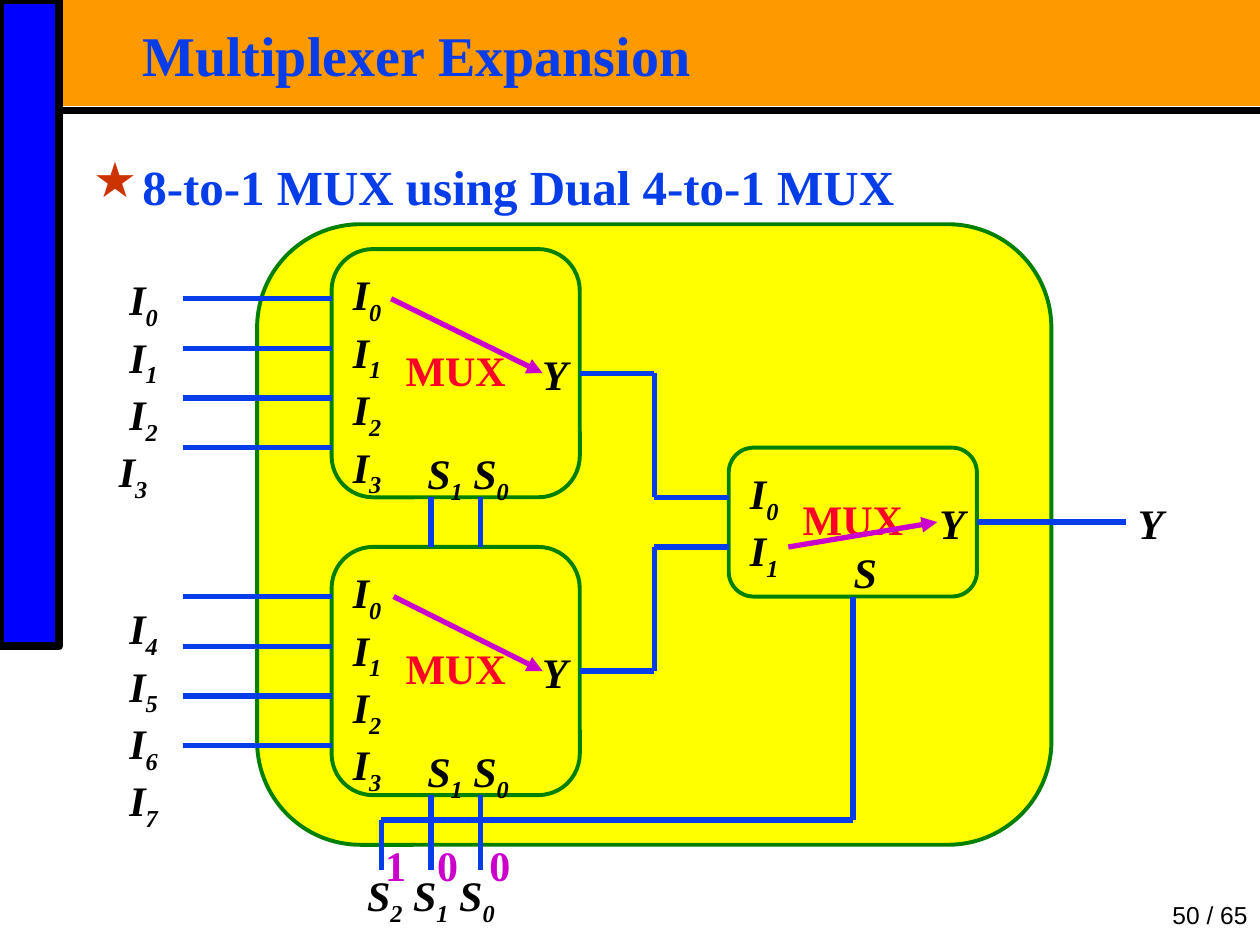
from dataclasses import dataclass

from lxml import etree
from pptx import Presentation
from pptx import util as u
from pptx.dml.color import RGBColor
from pptx.enum import shapes, text
from pptx.oxml.ns import qn

WIDTH, HEIGHT = u.Inches(10), u.Inches(7.5)
GRID_LEFT, GRID_TOP, CELL = 1.45, 1.78, 0.197
TOP, LEFT, BOTTOM, RIGHT = range(4)


@dataclass(frozen=True)
class Theme:
    """Colours, fonts and type sizes of the slide."""
    band: str = "FF9900"
    sidebar: str = "0000FF"
    ink: str = "000000"
    wire: str = "063DE8"
    block: str = "FFFF00"
    edge: str = "008000"
    name: str = "FC0128"
    signal: str = "CC00CC"
    star: str = "CC3300"
    serif: str = "Times New Roman"
    sans: str = "Arial"
    title: float = 32
    heading: float = 28
    label: float = 24
    footer: float = 14
    frame: float = 4.5
    outline: float = 2.25
    trace: float = 3


THEME = Theme()


def share(x, y, w, h):
    """Turn shares of the slide into a left, top, width, height box."""
    return tuple(int(v) for v in (x * WIDTH, y * HEIGHT, w * WIDTH, h * HEIGHT))


def point(col, row):
    """Turn a grid column and row into a position."""
    return u.Inches(GRID_LEFT + col * CELL), u.Inches(GRID_TOP + row * CELL)


def grid(col, row, cols, rows):
    """Turn grid columns and rows into a left, top, width, height box."""
    return *point(col, row), u.Inches(cols * CELL), u.Inches(rows * CELL)


def write(frame, *lines, size=THEME.label, color=THEME.ink, font=THEME.serif, bold=True,
          italic=False, align=text.PP_ALIGN.CENTER, anchor=text.MSO_ANCHOR.TOP,
          insets=(0, 0), spacing=None, wrap=True, bullet=None):
    """Write lines into a frame; an underscore lowers the character after it."""
    frame.word_wrap = wrap
    frame.vertical_anchor = anchor
    frame.margin_left = frame.margin_right = u.Inches(insets[0])
    frame.margin_top = frame.margin_bottom = u.Inches(insets[1])
    for number, line in enumerate(lines):
        paragraph = frame.add_paragraph() if number else frame.paragraphs[0]
        paragraph.alignment = align
        if spacing:
            paragraph.line_spacing = spacing
        if bullet:
            add_bullet(paragraph, bullet)
        first, *lowered = line.split("_")
        pieces = [(first, False)]
        for part in lowered:
            pieces += [(part[0], True), (part[1:], False)]
        for piece, is_low in pieces:
            if not piece:
                continue
            run = paragraph.add_run()
            run.text = piece
            run.font.size, run.font.name = u.Pt(size), font
            run.font.bold, run.font.italic = bold, italic
            run.font.color.rgb = RGBColor.from_string(color)
            if is_low:
                run._r.get_or_add_rPr().set("baseline", "-25000")


def add_bullet(paragraph, mark):
    """Give a paragraph a coloured hanging bullet."""
    props = paragraph._p.get_or_add_pPr()
    props.set("marL", str(u.Inches(0.39)))
    props.set("indent", str(-u.Inches(0.39)))
    tint = etree.SubElement(props, qn("a:buClr"))
    etree.SubElement(tint, qn("a:srgbClr"), val=THEME.star)
    etree.SubElement(props, qn("a:buChar"), char=mark)


def add_label(slide, box, *lines, **style):
    """Add a text box."""
    write(slide.shapes.add_textbox(*box).text_frame, *lines, **style)


def add_block(slide, box, fill, edge=None, weight=0, rounded=False):
    """Add a filled rectangle with an optional outline."""
    kind = shapes.MSO_SHAPE.ROUNDED_RECTANGLE if rounded else shapes.MSO_SHAPE.RECTANGLE
    block = slide.shapes.add_shape(kind, *box)
    block.shadow.inherit = False
    block.fill.solid()
    block.fill.fore_color.rgb = RGBColor.from_string(fill)
    if edge:
        block.line.color.rgb = RGBColor.from_string(edge)
        block.line.width = u.Pt(weight)
    else:
        block.line.fill.background()
    return block


def add_line(slide, start, end, color=THEME.wire, weight=THEME.trace, arrow=False):
    """Add a straight connector between two positions."""
    line = slide.shapes.add_connector(shapes.MSO_CONNECTOR.STRAIGHT, *start, *end)
    line.line.color.rgb = RGBColor.from_string(color)
    line.line.width = u.Pt(weight)
    if arrow:
        etree.SubElement(line.line._get_or_add_ln(), qn("a:tailEnd"), type="triangle")
    etree.SubElement(line._element.spPr, qn("a:effectLst"))
    return line


def add_wire(slide, *stops):
    """Chain wire segments through grid points."""
    return [add_line(slide, point(*a), point(*b)) for a, b in zip(stops, stops[1:])]


def add_mux(slide, col, row, rows, inputs, selects):
    """Add a multiplexer with its pin names, input wires and output wire."""
    mux = add_block(slide, grid(col, row, 10, rows), THEME.block, THEME.edge,
                    THEME.outline, rounded=True)
    write(mux.text_frame, "MUX", color=THEME.name, spacing=0.9, wrap=False,
          anchor=text.MSO_ANCHOR.MIDDLE)
    middle = row + rows / 2
    for pin in range(inputs):
        add_wire(slide, (col - 3, row + 2 + 2 * pin), (col, row + 2 + 2 * pin))
    output, = add_wire(slide, (col + 10, middle), (col + 13, middle))
    output.begin_connect(mux, RIGHT)
    add_label(slide, grid(col, row + 0.8, 2, 2 * inputs),
              *(f"I_{pin}" for pin in range(inputs)), italic=True, align=text.PP_ALIGN.RIGHT)
    add_label(slide, grid(col + 8, middle - 1, 2, 2), "Y", italic=True)
    add_label(slide, grid(col + 3, row + rows - 2, 5, 2), selects, italic=True)
    return mux


def add_header(slide):
    """Add the band, sidebar, rule, title, heading and page number."""
    add_block(slide, share(0.047, 0, 0.953, 0.112), THEME.band)
    add_block(slide, share(0, 0, 0.047, 0.684), THEME.sidebar, THEME.ink, THEME.frame)
    add_line(slide, share(0.047, 0.117, 0, 0)[:2], share(1, 0.117, 0, 0)[:2],
             THEME.ink, THEME.frame)
    heading = dict(color=THEME.wire, align=text.PP_ALIGN.LEFT, insets=(0.07, 0.03))
    add_label(slide, share(0.106, 0.028, 0.866, 0.07), "Multiplexer Expansion",
              size=THEME.title, spacing=0.87, **heading)
    add_label(slide, share(0.067, 0.162, 0.906, 0.07), "8-to-1 MUX using Dual 4-to-1 MUX",
              size=THEME.heading, bullet="★", **heading)
    add_label(slide, share(0.869, 0.947, 0.131, 0.043), "50 / 65", size=THEME.footer,
              font=THEME.sans, bold=False, align=text.PP_ALIGN.RIGHT,
              anchor=text.MSO_ANCHOR.BOTTOM, insets=(0.1, 0.05))


def add_circuit(slide):
    """Add the eight-input multiplexer built from three smaller ones."""
    add_block(slide, grid(3, 0, 32, 25), THEME.block, THEME.edge, THEME.outline, rounded=True)
    for top, label_row, names in ((1, 2, ("I_0", "I_1", "I_2", "I_3 ")),
                                  (13, 15.25, ("I_4", "I_5", "I_6", "I_7"))):
        add_label(slide, grid(-3, label_row, 2, 8), *names, italic=True,
                  align=text.PP_ALIGN.RIGHT)
        for pin in range(4):
            add_wire(slide, (0, top + 2 + 2 * pin), (3, top + 2 + 2 * pin))
        add_mux(slide, 6, top, 10, 4, "S_1 S_0")
    final = add_mux(slide, 22, 9, 6, 2, "S")
    for col in (10, 12):
        add_wire(slide, (col, 11), (col, 13))
        add_wire(slide, (col, 23), (col, 25), (col, 26))
    add_wire(slide, (19, 6), (19, 11))
    add_wire(slide, (19, 18), (19, 13))
    add_wire(slide, (35, 12), (38, 12))
    select = add_wire(slide, (27, 15), (27, 17), (27, 24), (8, 24), (8, 25), (8, 26))
    select[0].begin_connect(final, BOTTOM)
    add_label(slide, grid(38, 11, 2, 2), "Y", italic=True)
    add_label(slide, grid(5, 26, 10, 2), "S_2 S_1 S_0", italic=True)


def add_selection(slide):
    """Add the select bits and the arrows of the chosen paths."""
    for place, bit in enumerate("100"):
        add_label(slide, grid(8.15 + 2.1 * place, 25, 0.85, 1.8), bit, color=THEME.signal,
                  spacing=0.9, wrap=False)
    for start, end in (((8.4, 3), (14.5, 6)), ((8.5, 15), (14.5, 18)), ((24.4, 13), (30.4, 12))):
        add_line(slide, point(*start), point(*end), THEME.signal, arrow=True)


def main():
    """Build and save the slide."""
    deck = Presentation()
    deck.slide_width, deck.slide_height = WIDTH, HEIGHT
    slide = deck.slides.add_slide(deck.slide_layouts[6])
    add_header(slide)
    add_circuit(slide)
    add_selection(slide)
    deck.save("out.pptx")


if __name__ == "__main__":
    main()
